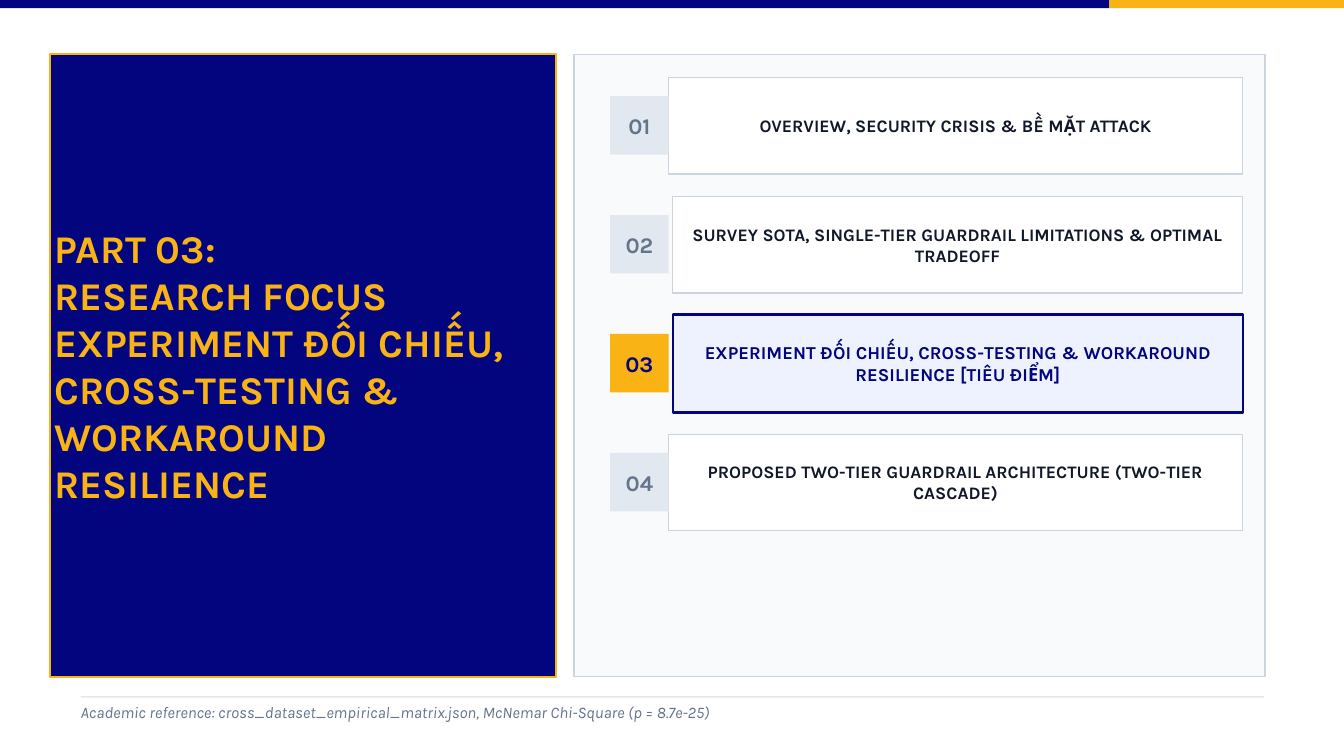
from pptx import Presentation
from pptx.dml.color import RGBColor
from pptx.enum.shapes import MSO_SHAPE
from pptx.enum.text import MSO_ANCHOR, PP_ALIGN
from pptx.util import Inches, Pt

NAVY, GOLD, WHITE = "02057E", "F9B314", "FFFFFF"
INK, SLATE, BORDER, MIST = "101828", "64748B", "CBD5E1", "E2E8F0"


def add_box(x, y, w, h, fill, line=None, line_width=0):
    sp = s.shapes.add_shape(MSO_SHAPE.RECTANGLE, Inches(x), Inches(y), Inches(w), Inches(h))
    sp.shadow.inherit = False
    sp.fill.solid()
    sp.fill.fore_color.rgb = RGBColor.from_string(fill)
    if line:
        sp.line.color.rgb = RGBColor.from_string(line)
        sp.line.width = Pt(line_width)
    else:
        sp.line.fill.background()
    return sp


def write(sp, lines, size, spacing, color, bold=True, align=PP_ALIGN.CENTER,
          anchor=MSO_ANCHOR.MIDDLE, inset=0.06):
    """Fill a shape with one paragraph per line, all in the same style."""
    tf = sp.text_frame
    tf.word_wrap = True
    tf.vertical_anchor = anchor
    tf.margin_left = tf.margin_right = tf.margin_top = tf.margin_bottom = Inches(inset)
    tf.text = "\n".join(lines)
    for p in tf.paragraphs:
        p.alignment = align
        p.line_spacing = Pt(spacing)
        p.font.name = "Karla"
        p.font.size = Pt(size)
        p.font.bold = bold
        p.font.italic = not bold
        p.font.color.rgb = RGBColor.from_string(color)


prs = Presentation()
prs.slide_width, prs.slide_height = Inches(20), Inches(11.25)
s = prs.slides.add_slide(prs.slide_layouts[6])

# Top band
add_box(0, 0, 16.51, 0.12, NAVY)
add_box(16.51, 0, 3.5, 0.12, GOLD)

# Section title
title = add_box(0.75, 0.81, 7.52, 9.26, NAVY, GOLD, 2.25)
write(title, ["PART 03:", "RESEARCH FOCUS",
              "EXPERIMENT ĐỐI CHIẾU, CROSS-TESTING & WORKAROUND RESILIENCE"],
      42, 50.4, GOLD, align=PP_ALIGN.LEFT)

# Agenda: left edge of each card, text, and whether it is the current part
add_box(8.54, 0.81, 10.28, 9.26, "F8FAFC", BORDER, 1.8)
agenda = [
    (9.95, "OVERVIEW, SECURITY CRISIS & BỀ MẶT ATTACK", False),
    (10.01, "SURVEY SOTA, SINGLE-TIER GUARDRAIL LIMITATIONS & OPTIMAL TRADEOFF", False),
    (10.01, "EXPERIMENT ĐỐI CHIẾU, CROSS-TESTING & WORKAROUND RESILIENCE [TIÊU ĐIỂM]", True),
    (9.95, "PROPOSED TWO-TIER GUARDRAIL ARCHITECTURE (TWO-TIER CASCADE)", False),
]
for i, (x, text, current) in enumerate(agenda):
    y = 1.15 + 1.77 * i
    if current:
        card = add_box(x, y - 0.01, 18.5 - x, 1.46, "EEF2FF", NAVY, 2.4)
        write(card, [text], 19.5, 23.4, NAVY)
    else:
        card = add_box(x, y, 18.49 - x, 1.44, WHITE, BORDER, 1.2)
        write(card, [text], 18.8, 22.5, INK)
    badge = add_box(9.08, y + 0.28, 0.87, 0.87, GOLD if current else MIST)
    write(badge, [f"{i + 1:02}"], 24, 28.8, NAVY if current else SLATE)

# Footer
add_box(1.2, 10.36, 17.61, 0.02, MIST)
footer = s.shapes.add_textbox(Inches(1.2), Inches(10.45), Inches(15.46), Inches(0.28))
write(footer, ["Academic reference: cross_dataset_empirical_matrix.json, "
               "McNemar Chi-Square (p = 8.7e-25)"],
      17.3, 20.7, SLATE, bold=False, align=PP_ALIGN.LEFT, anchor=MSO_ANCHOR.TOP, inset=0)

prs.save("out.pptx")
